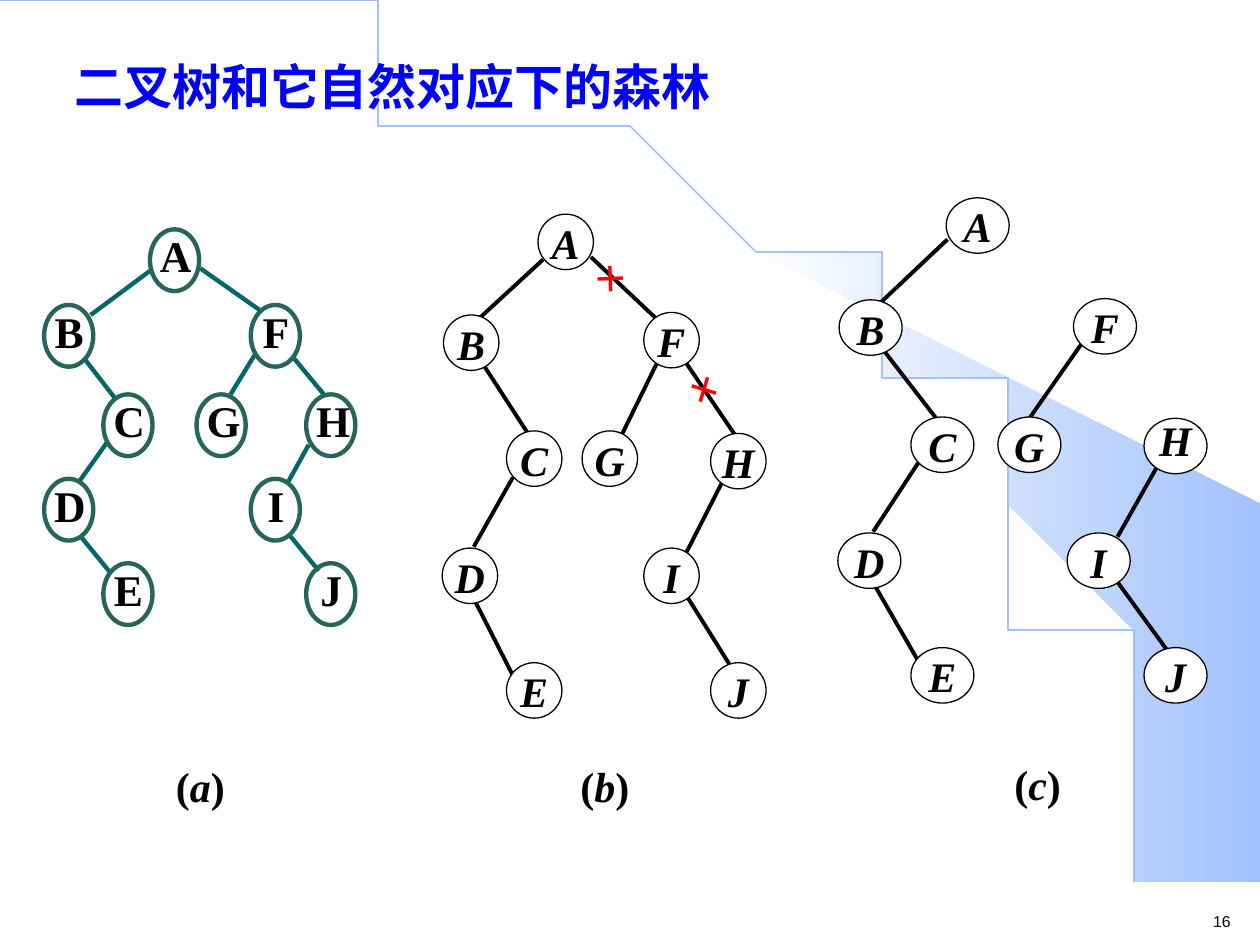
from dataclasses import dataclass
from math import cos, pi, sin
from typing import NamedTuple, Optional

from lxml.etree import SubElement
from pptx import Presentation
from pptx.dml.color import RGBColor
from pptx.enum.shapes import MSO_CONNECTOR, MSO_SHAPE
from pptx.enum.text import MSO_ANCHOR, MSO_AUTO_SIZE, PP_ALIGN
from pptx.oxml.ns import qn
from pptx.util import Inches, Pt

SERIF = "Times New Roman"
BLACK, WHITE, RED = "000000", "FFFFFF", "FF0000"
SKY = "A2C1FE"


class Edge(NamedTuple):
    x1: float
    y1: float
    x2: float
    y2: float


class Cross(NamedTuple):
    left: float
    top: float
    rotation: float


class Caption(NamedTuple):
    letter: str
    left: float
    top: float
    width: float


@dataclass
class Tree:
    nodes: dict[str, tuple[float, float]]
    edges: list[Edge]
    caption: Caption
    node_width: float
    node_height: float = 0.44
    edge_color: str = BLACK
    edge_points: float = 2.25
    outline: str = BLACK
    outline_points: float = 0.75
    filled: bool = True


BINARY_TREE = Tree(
    nodes={"A": (1.19, 1.82), "B": (0.35, 2.42), "F": (1.99, 2.42), "C": (0.82, 3.13),
           "G": (1.56, 3.13), "H": (2.43, 3.13), "D": (0.35, 3.8), "I": (1.99, 3.8),
           "E": (0.82, 4.47), "J": (2.43, 4.47)},
    edges=[Edge(1.19, 2.15, 0.72, 2.5), Edge(1.59, 2.13, 2.06, 2.46),
           Edge(0.68, 2.86, 0.92, 3.17), Edge(2.02, 2.82, 1.83, 3.13),
           Edge(2.33, 2.84, 2.57, 3.13), Edge(0.63, 3.82, 0.85, 3.51),
           Edge(2.29, 3.82, 2.45, 3.53), Edge(0.65, 4.27, 0.88, 4.55),
           Edge(2.3, 4.25, 2.53, 4.53)],
    caption=Caption("a", 1.28, 6.11, 0.62), node_width=0.39, node_height=0.49,
    edge_color="006666", edge_points=2.5, outline="26665A", outline_points=2.5, filled=False)

CUT_TREE = Tree(
    nodes={"A": (4.27, 1.7), "B": (3.52, 2.5), "F": (5.11, 2.48), "C": (4.02, 3.42),
           "G": (4.62, 3.42), "H": (5.64, 3.44), "D": (3.51, 4.35), "I": (5.11, 4.35),
           "E": (4.02, 5.26), "J": (5.64, 5.26)},
    edges=[Edge(4.31, 2.06, 3.8, 2.53), Edge(4.69, 2.04, 5.21, 2.53),
           Edge(3.84, 2.9, 4.19, 3.44), Edge(5.21, 2.89, 4.94, 3.44),
           Edge(5.37, 2.77, 5.9, 3.55), Edge(4.07, 3.79, 3.76, 4.34),
           Edge(5.73, 3.83, 5.45, 4.38), Edge(3.77, 4.77, 4.07, 5.36),
           Edge(5.45, 4.73, 5.8, 5.29)],
    caption=Caption("b", 4.49, 6.11, 0.62), node_width=0.44)

FOREST = Tree(
    nodes={"A": (7.51, 1.57), "B": (6.66, 2.38), "F": (8.52, 2.37), "C": (7.23, 3.31),
           "G": (7.92, 3.31), "H": (9.08, 3.32), "D": (6.65, 4.23), "I": (8.47, 4.23),
           "E": (7.23, 5.14), "J": (9.08, 5.14)},
    edges=[Edge(7.52, 1.9, 6.98, 2.41), Edge(7.02, 2.79, 7.43, 3.32),
           Edge(8.59, 2.72, 8.17, 3.32), Edge(7.29, 3.67, 6.93, 4.22),
           Edge(9.18, 3.71, 8.87, 4.26), Edge(6.95, 4.66, 7.29, 5.25),
           Edge(8.87, 4.62, 9.27, 5.17)],
    caption=Caption("c", 7.88, 6.1, 0.71), node_width=0.5)

CROSSES = [Cross(4.7, 2.1, 43), Cross(5.42, 2.99, 61.8)]

WEDGE = [(9.2, 7.48), (9.99, 7.49), (9.99, 4.23), (5.89, 1.73), (6.24, 1.99), (6.53, 2.22),
         (6.85, 2.5), (7.16, 2.8), (7.62, 3.3), (8.03, 3.84), (8.32, 4.31), (8.58, 4.79),
         (8.78, 5.28), (8.93, 5.72), (9.03, 6.09), (9.13, 6.56), (9.17, 6.96)]


def rgb(color: str) -> RGBColor:
    return RGBColor.from_string(color)


def add_span(para, text: str, size: float, color: str = BLACK, font: str = SERIF,
             bold: bool = True, italic: bool = False) -> None:
    span = para.add_run()
    span.text = text
    span.font.name = font
    span.font.size = Pt(size)
    span.font.bold = bold
    span.font.italic = italic
    span.font.color.rgb = rgb(color)


def prepare_text(shape, spacing, align=PP_ALIGN.CENTER):
    """Remove the insets, anchor at the top and return the first paragraph."""
    frame = shape.text_frame
    frame.margin_left = frame.margin_top = frame.margin_right = frame.margin_bottom = 0
    frame.word_wrap = True
    frame.vertical_anchor = MSO_ANCHOR.TOP
    para = frame.paragraphs[0]
    para.alignment = align
    para.line_spacing = spacing
    return para


def add_box(page, left: float, top: float, width: float, height: float):
    return page.shapes.add_textbox(Inches(left), Inches(top), Inches(width), Inches(height))


def add_filled(page, kind, left: float, top: float, width: float, height: float,
               fill: Optional[str]):
    shape = page.shapes.add_shape(kind, Inches(left), Inches(top), Inches(width), Inches(height))
    shape.shadow.inherit = False
    if fill:
        shape.fill.solid()
        shape.fill.fore_color.rgb = rgb(fill)
    else:
        shape.fill.background()
    return shape


def add_outline(page, points: list[tuple[float, float]], close: bool):
    builder = page.shapes.build_freeform(*points[0], scale=Inches(1))
    builder.add_line_segments(points[1:], close=close)
    shape = builder.convert_to_shape()
    shape.shadow.inherit = False
    return shape


def add_backdrop(page) -> None:
    wedge = add_outline(page, WEDGE, close=True)
    wedge.line.fill.background()
    wedge.fill.gradient()
    wedge.fill.gradient_angle = 0
    for stop, color in zip(wedge.fill.gradient_stops, (WHITE, SKY)):
        stop.color.rgb = rgb(color)
    steps = 90
    angles = [pi / 2 * step / steps for step in range(steps + 1)]
    arc = add_outline(page, [(9.2 * sin(a), 7.49 * (1 - cos(a))) for a in angles], close=False)
    arc.fill.background()
    arc.line.color.rgb = rgb(SKY)
    arc.line.width = Pt(1)


def add_title(page, text: str) -> None:
    title = page.shapes.title
    title.left, title.top, title.width, title.height = map(Inches, (0.49, 0.37, 7.72, 0.62))
    title.text_frame.auto_size = MSO_AUTO_SIZE.NONE
    para = title.text_frame.paragraphs[0]
    para.alignment = PP_ALIGN.LEFT
    add_span(para, text, 28, "0000FF")
    title.element.getparent().append(title.element)  # in front of the backdrop


def add_edge(page, edge: Edge, color: str, points: float) -> None:
    line = page.shapes.add_connector(MSO_CONNECTOR.STRAIGHT, *map(Inches, edge))
    line.line.color.rgb = rgb(color)
    line.line.width = Pt(points)
    SubElement(line.element.spPr, qn("a:effectLst"))


def add_node(page, tree: Tree, letter: str, left: float, top: float) -> None:
    node = add_filled(page, MSO_SHAPE.OVAL, left, top, tree.node_width, tree.node_height,
                      WHITE if tree.filled else None)
    node.line.color.rgb = rgb(tree.outline)
    node.line.width = Pt(tree.outline_points)
    if tree.filled:
        raised = tree is FOREST and letter == "H"
        para = prepare_text(node, 0.75 if raised else Pt(26))
        add_span(para, letter, 24, italic=True)
    else:
        label = add_box(page, left + 0.08, top + 0.08, 0.24, 0.33)
        add_span(prepare_text(label, 0.8), letter, 25)


def add_tree(page, tree: Tree) -> None:
    for edge in tree.edges:
        add_edge(page, edge, tree.edge_color, tree.edge_points)
    for letter, (left, top) in tree.nodes.items():
        add_node(page, tree, letter, left, top)
    letter, left, top, width = tree.caption
    caption = add_filled(page, MSO_SHAPE.RECTANGLE, left, top, width, 0.31, WHITE)
    caption.line.fill.background()
    para = prepare_text(caption, 0.8)
    for text in ("(", letter, ")"):
        add_span(para, text, 24, italic=text == letter)


def main() -> None:
    deck = Presentation()
    deck.slide_width, deck.slide_height = Inches(10), Inches(7.5)
    page = deck.slides.add_slide(deck.slide_layouts[5])
    add_backdrop(page)
    number = add_box(page, 9.53, 7.19, 0.35, 0.25)
    add_span(number.text_frame.paragraphs[0], "16", 9, font="Arial", bold=False)
    add_title(page, "二叉树和它自然对应下的森林")
    for tree in (BINARY_TREE, CUT_TREE, FOREST):
        add_tree(page, tree)
    for cross in CROSSES:
        mark = add_box(page, cross.left, cross.top, 0.39, 0.37)
        mark.rotation = cross.rotation
        add_span(prepare_text(mark, 0.8, PP_ALIGN.LEFT), "×", 28, RED)
    deck.save("out.pptx")


if __name__ == "__main__":
    main()
